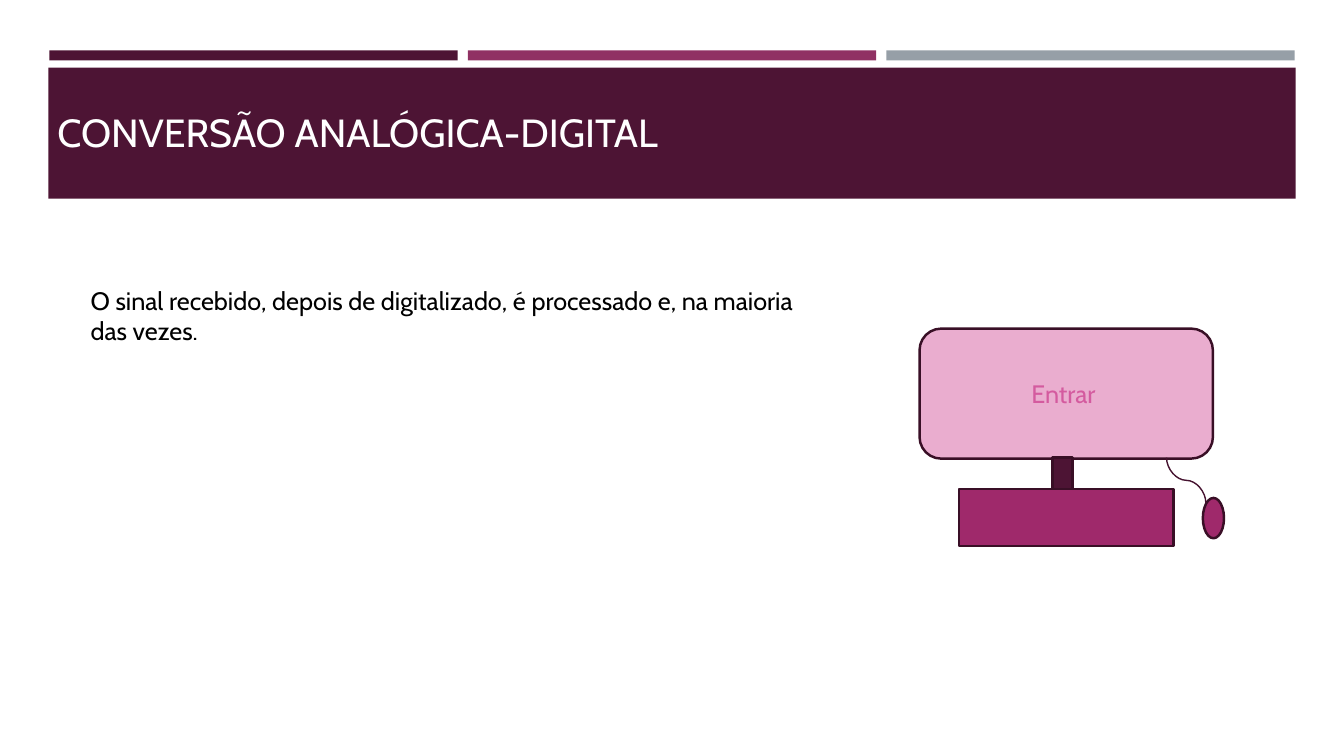
import pptx
import pptx.dml.color
import pptx.enum.shapes
import pptx.enum.text
import pptx.oxml
import pptx.util
from pptx.util import Inches

SHAPES = pptx.enum.shapes.MSO_SHAPE
ANCHOR = pptx.enum.text.MSO_ANCHOR
ALIGN = pptx.enum.text.PP_ALIGN

# Content
TITLE = "CONVERSÃO ANALÓGICA-DIGITAL"
BODY = "O sinal recebido, depois de digitalizado, é processado e, na maioria das vezes."
SCREEN_LABEL = "Entrar"
FONT = "Cabin"
PLUM, OUTLINE, MAGENTA = "4D1434", "390F26", "9F296B"
BAR_COLOURS = [PLUM, "903163", "969FA7"]
BAR_LEFT, BAR_WIDTH, BAR_STEP = 0.49, 4.05, 4.15


def colour(value):
    return pptx.dml.color.RGBColor.from_string(value)


def add_box(kind, left, top, width, height, fill, line=None):
    shape = slide.shapes.add_shape(
        kind, Inches(left), Inches(top), Inches(width), Inches(height))
    shape.shadow.inherit = False
    shape.fill.solid()
    shape.fill.fore_color.rgb = colour(fill)
    if line:
        shape.line.color.rgb = colour(line)
        shape.line.width = pptx.util.Pt(1.75)
    else:
        shape.line.fill.background()
    return shape


def write(shape, text, size=18, text_colour="000000", align=ALIGN.LEFT, anchor=ANCHOR.TOP):
    frame = shape.text_frame
    frame.word_wrap = True
    frame.auto_size = pptx.enum.text.MSO_AUTO_SIZE.NONE
    frame.vertical_anchor = anchor
    paragraph = frame.paragraphs[0]
    paragraph.alignment = align
    run = paragraph.add_run()
    run.text = text
    run.font.name = FONT
    run.font.size = pptx.util.Pt(size)
    run.font.color.rgb = colour(text_colour)


presentation = pptx.Presentation()
presentation.slide_width, presentation.slide_height = Inches(13.33), Inches(7.5)
slide = presentation.slides.add_slide(presentation.slide_layouts[5])

# Header bars and banner
for index, bar_colour in enumerate(BAR_COLOURS):
    add_box(SHAPES.RECTANGLE, BAR_LEFT + index * BAR_STEP, 0.5, BAR_WIDTH, 0.1, bar_colour)
add_box(SHAPES.RECTANGLE, 0.48, 0.67, 12.37, 1.3, PLUM)

# Title, brought in front of the banner
title = slide.shapes.title
title.left, title.top = Inches(0.47), Inches(0.48)
title.width, title.height = Inches(12.06), Inches(1.11)
write(title, TITLE, size=28, text_colour="FFFFFF", anchor=ANCHOR.BOTTOM)
slide.shapes.element.append(title.element)

# Body text
body = slide.shapes.add_textbox(Inches(0.8), Inches(2.78), Inches(7.24), Inches(0.71))
write(body, BODY)

# Computer: screen, base and mouse
screen = add_box(SHAPES.ROUNDED_RECTANGLE, 9.12, 3.26, 2.91, 1.29, "EAADCF", OUTLINE)
write(screen, SCREEN_LABEL + " ", text_colour="D45B9F", align=ALIGN.CENTER, anchor=ANCHOR.MIDDLE)
add_box(SHAPES.RECTANGLE, 9.51, 4.85, 2.13, 0.57, MAGENTA, OUTLINE)
add_box(SHAPES.OVAL, 11.93, 4.94, 0.21, 0.4, MAGENTA, OUTLINE)

# Mouse cable, turned so that it leaves the mouse vertically
cable = slide.shapes.add_connector(
    pptx.enum.shapes.MSO_CONNECTOR.CURVE,
    Inches(11.54), Inches(4.96), Inches(11.99), Inches(4.57))
cable.line.color.rgb = colour("45122F")
cable.line.width = pptx.util.Pt(1)
properties = cable.element.spPr
properties.xfrm.set("rot", str(270 * 60000))
properties.append(pptx.oxml.parse_xml(
    '<a:effectLst xmlns:a="http://schemas.openxmlformats.org/drawingml/2006/main"/>'))

# Screen stand
add_box(SHAPES.RECTANGLE, 10.44, 4.54, 0.2, 0.31, PLUM, OUTLINE)

presentation.save("out.pptx")
